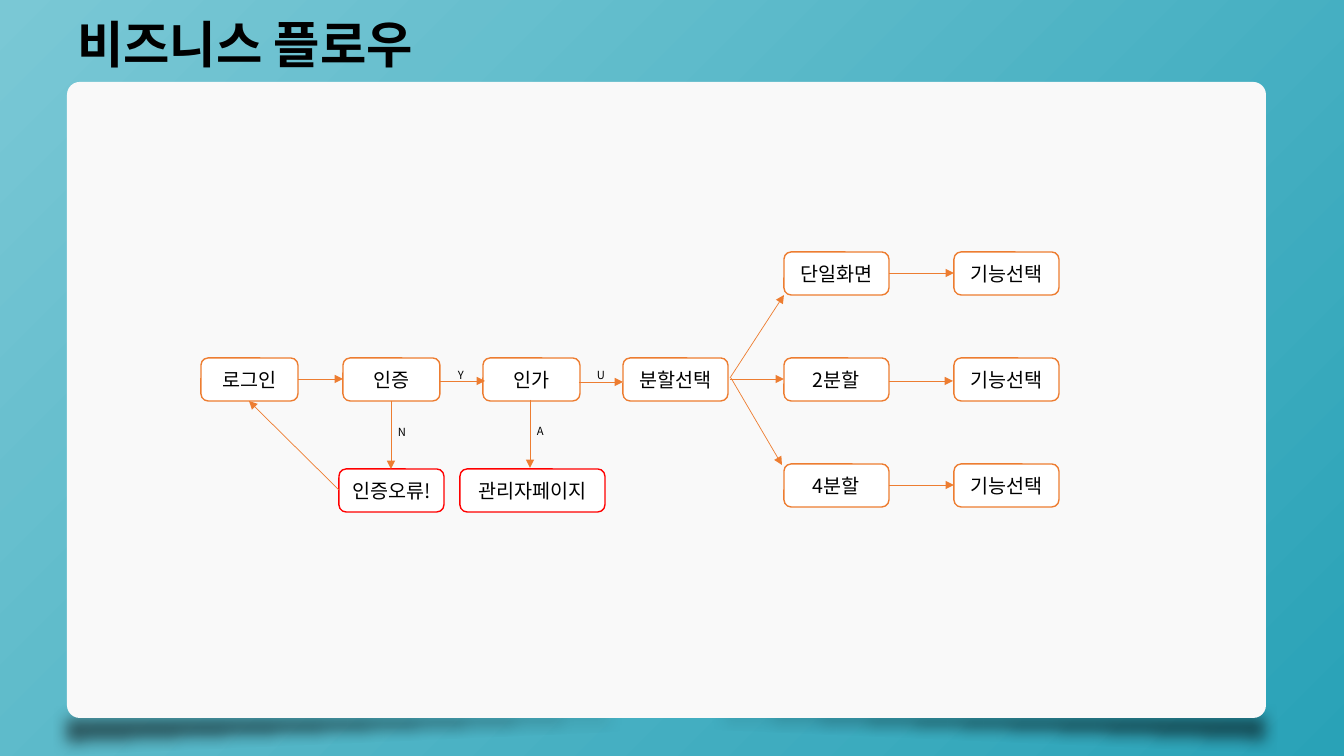
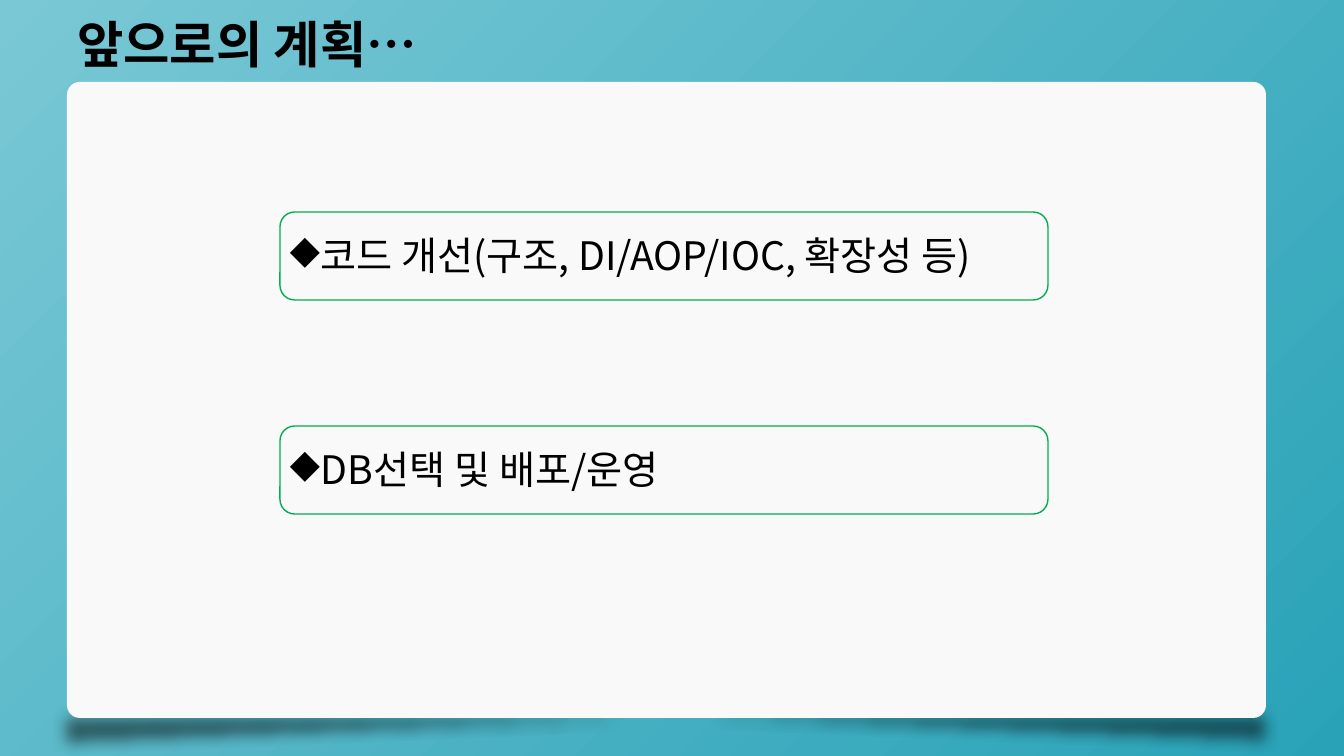
from lxml.etree import SubElement
from pptx import Presentation
from pptx.dml.color import RGBColor
from pptx.enum.shapes import MSO_CONNECTOR, MSO_SHAPE
from pptx.enum.text import MSO_ANCHOR, MSO_AUTO_SIZE, PP_ALIGN
from pptx.oxml.ns import qn
from pptx.util import Emu, Pt

EMU_PER_PIXEL = 914400 / 100.8
FONT = "Noto Sans CJK KR"
COLORS = {
    "sky": "7AC8D5", "teal": "29A2B7", "card": "F9F9F9", "white": "FFFFFF",
    "black": "000000", "orange": "ED7D31", "red": "FF0000", "green": "00B050",
}
ROWS = [252 + 106 * row for row in range(3)]
MIDDLE_ROW = ROWS[1]
LOWER_ROW = 469
BOX_HEIGHT = 43
STEPS = [
    ("로그인", 201, MIDDLE_ROW, 97, "orange"),
    ("인증", 343, MIDDLE_ROW, 97, "orange"),
    ("인가", 483, MIDDLE_ROW, 97, "orange"),
    ("분할선택", 623, MIDDLE_ROW, 105, "orange"),
    ("인증오류!", 339, LOWER_ROW, 105, "red"),
    ("관리자페이지", 460, LOWER_ROW, 145, "red"),
]
SCREENS = ["단일화면", "2분할", "4분할"]
ARROWS = [
    (298, 379, 343, 379), (440, 381, 485, 381), (579, 382, 623, 382),
    (730, 379, 784, 379), (730, 378, 784, 295), (731, 378, 782, 465),
    (889, 273, 954, 273), (889, 381, 953, 381), (889, 485, 954, 485),
    (391, 401, 391, 469), (339, 490, 249, 401), (530, 400, 530, 468),
]
BRANCH_LABELS = [("Y", 448, 363), ("N", 388, 420), ("A", 527, 419), ("U", 587, 363)]
PLANS = ["코드 개선(구조, DI/AOP/IOC, 확장성 등)", "DB선택 및 배포/운영"]


def pixels(*values):
    """Turn pixel lengths into EMU."""
    return [Emu(round(value * EMU_PER_PIXEL)) for value in values]


def color(name):
    """Look up a named colour."""
    return RGBColor.from_string(COLORS[name])


def apply_format(target, **values):
    """Set each given attribute on the target."""
    for name, value in values.items():
        setattr(target, name, value)


def write_text(shape, text, size, bold=False, align=PP_ALIGN.LEFT, **frame_values):
    """Write one formatted line of text and return its paragraph."""
    frame = shape.text_frame
    apply_format(frame, **{"word_wrap": True, "auto_size": MSO_AUTO_SIZE.NONE,
                           "vertical_anchor": MSO_ANCHOR.TOP, **frame_values})
    paragraph = frame.paragraphs[0]
    paragraph.alignment = align
    run = paragraph.add_run()
    run.text = text
    run.font.color.rgb = color("black")
    apply_format(run.font, name=FONT, size=Pt(size), bold=bold)
    SubElement(run._r.get_or_add_rPr(), qn("a:ea"), typeface=FONT)
    return paragraph


def add_panel(slide, kind, box, fill=None, line=None):
    """Add a shadowless preset shape with optional fill and outline."""
    shape = slide.shapes.add_shape(kind, *pixels(*box))
    shape.shadow.inherit = False
    if fill:
        shape.fill.solid()
        shape.fill.fore_color.rgb = color(fill)
    else:
        shape.fill.background()
    if line:
        shape.line.color.rgb = color(line)
        shape.line.width = Pt(1)
    else:
        shape.line.fill.background()
    return shape


def add_curl_shadow(slide, box, flips):
    """Add a soft translucent triangle that lifts the card's edge."""
    shape = add_panel(slide, MSO_SHAPE.RIGHT_TRIANGLE, box, "black")
    properties = shape._element.spPr
    for flip in flips:
        properties.find(qn("a:xfrm")).set(flip, "1")
    fill_color = properties.find(qn("a:solidFill"))[0]
    SubElement(fill_color, qn("a:alpha"), val="51000")
    SubElement(properties.find(qn("a:effectLst")), qn("a:softEdge"), rad="127000")


def add_step(slide, text, left, top, width, line):
    """Add a rounded flow step."""
    shape = add_panel(slide, MSO_SHAPE.ROUNDED_RECTANGLE,
                      (left, top, width, BOX_HEIGHT), "white", line)
    write_text(shape, text, 14, align=PP_ALIGN.CENTER, vertical_anchor=MSO_ANCHOR.MIDDLE,
               margin_left=0, margin_right=0)


def add_arrow(slide, points):
    """Add a thin arrow between two points."""
    arrow = slide.shapes.add_connector(MSO_CONNECTOR.STRAIGHT, *pixels(*points))
    arrow.line.color.rgb = color("orange")
    arrow.line.width = Pt(0.5)
    SubElement(arrow.line._get_or_add_ln(), qn("a:tailEnd"), type="triangle")
    SubElement(arrow._element.spPr, qn("a:effectLst"))


def add_text(slide, text, box, size):
    """Add a text box and return its paragraph."""
    return write_text(slide.shapes.add_textbox(*pixels(*box)), text, size)


def add_plan(slide, text, top):
    """Add a bulleted plan inside a green frame."""
    paragraph = add_text(slide, text, (280, top + 14, 768, 57), 28)
    properties = paragraph._p.get_or_add_pPr()
    indent = pixels(31)[0]
    properties.set("marL", str(indent))
    properties.set("indent", str(-indent))
    SubElement(properties, qn("a:buChar"), char="◆")
    add_panel(slide, MSO_SHAPE.ROUNDED_RECTANGLE, (280, top, 768, 88), line="green")


def add_titled_slide(presentation, title):
    """Add a slide with the shared card and title."""
    slide = presentation.slides.add_slide(presentation.slide_layouts[5])
    add_curl_shadow(slide, (66, 704, 1212, 50), ["flipH", "flipV"])
    add_curl_shadow(slide, (54, 706, 1212, 50), ["flipV"])
    card = add_panel(slide, MSO_SHAPE.ROUNDED_RECTANGLE, (67, 82, 1199, 636), "card")
    card.adjustments[0] = 0.02
    left, top, width, height = pixels(67, 8, 1227, 72)
    heading = slide.shapes.title
    apply_format(heading, left=left, top=top, width=width, height=height)
    write_text(heading, title, 36, bold=True)
    return slide


def style_background(presentation):
    """Give every slide the diagonal gradient."""
    fill = presentation.slide_master.background.fill
    fill.gradient()
    fill.gradient_angle = 315
    for stop, name, position in zip(fill.gradient_stops, ("sky", "teal"), (0, 1)):
        stop.color.rgb = color(name)
        stop.position = position


def build_flow(presentation):
    """Build the business flow slide."""
    slide = add_titled_slide(presentation, "비즈니스 플로우")
    for step in STEPS:
        add_step(slide, *step)
    for screen, top in zip(SCREENS, ROWS):
        add_step(slide, screen, 784, top, 105, "orange")
        add_step(slide, "기능선택", 954, top, 105, "orange")
    for points in ARROWS:
        add_arrow(slide, points)
    for text, left, top in BRANCH_LABELS:
        add_text(slide, text, (left, top, 28, 24), 8)


def build_plans(presentation):
    """Build the future plans slide."""
    slide = add_titled_slide(presentation, "앞으로의 계획…")
    for index, plan in enumerate(PLANS):
        add_plan(slide, plan, 212 + 214 * index)


def main():
    """Build and save the presentation."""
    presentation = Presentation()
    width, height = pixels(1344, 756)
    apply_format(presentation, slide_width=width, slide_height=height)
    style_background(presentation)
    build_flow(presentation)
    build_plans(presentation)
    presentation.save("out.pptx")


main()
